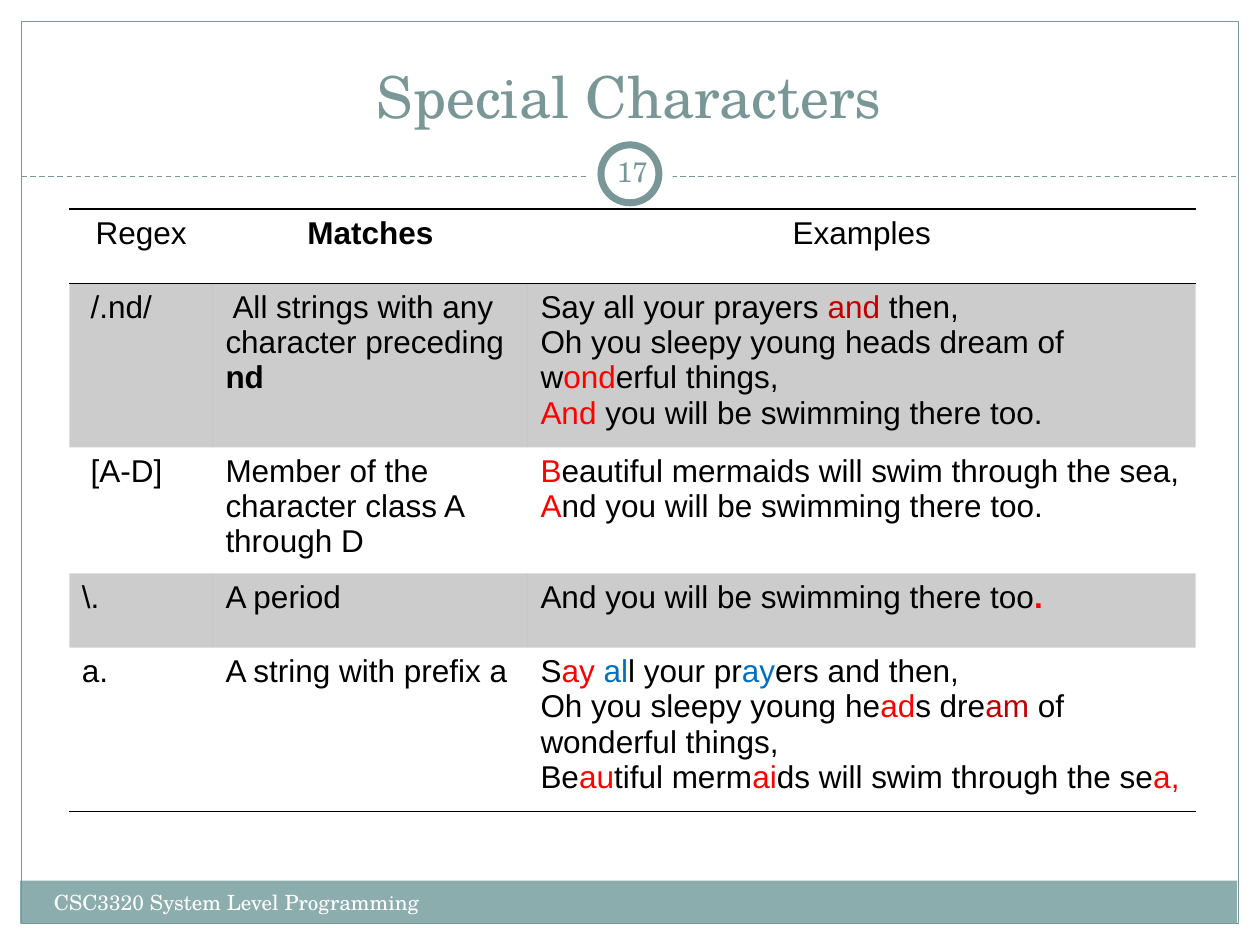
"""Build a slide with a table of special characters in regular expressions."""
from lxml import etree
from pptx import Presentation
from pptx.dml.color import RGBColor
from pptx.enum.dml import MSO_LINE
from pptx.enum.shapes import MSO_CONNECTOR, MSO_SHAPE
from pptx.enum.text import MSO_ANCHOR, PP_ALIGN
from pptx.oxml.ns import qn
from pptx.util import Inches, Pt

RECT, OVAL = MSO_SHAPE.RECTANGLE, MSO_SHAPE.OVAL
LINE, DASH = MSO_CONNECTOR.STRAIGHT, MSO_LINE.DASH
LEFT, CENTER = PP_ALIGN.LEFT, PP_ALIGN.CENTER
TOP, MIDDLE, BOTTOM = MSO_ANCHOR.TOP, MSO_ANCHOR.MIDDLE, MSO_ANCHOR.BOTTOM
PLAIN = "{2D5ABB26-0587-4C30-8999-92F81FD0307C}"

TITLE = "Special Characters"
FOOTER = "CSC3320 System Level Programming"
NUMBER = "17"
# Marked spans read |key:text|, with keys from THEME["marks"].
ROWS = [
    ("Regex", "|k:Matches|", "Examples"),
    (" /.nd/", " All strings with any character preceding |k:nd|",
     "Say all your prayers |d:and |then,\n"
     "Oh you sleepy young heads dream of w|r:ond|erful things,\n"
     "|r:And| you will be swimming there too."),
    (" [A-D]", "Member of the character class A through D",
     "|r:B|eautiful mermaids will swim through the sea,\n"
     "|r:A|nd you will be swimming there too."),
    ("\\.", "A period", "And you will be swimming there too|x:.|"),
    ("a.", "A string with prefix a",
     "S|r:ay ||b:al|l your pr|b:ay|ers and then,\n"
     "Oh you sleepy young he|r:ad|s dre|d:am| of wonderful things,\n"
     "Be|r:au|tiful merm|r:ai|ds will swim through the se|r:a,|"),
]
COLS = (1.14, 2.5, 5.3)
HIGH = 0.59

THEME = {
    "serif": "TeX Gyre Schola", "sans": "Arial",
    "teal": "7A9798", "bar": "8CADAE", "white": "FFFFFF", "black": "000000",
    "title": 33, "body": 18, "number": 16, "footer": 12,
    "marks": {"k": ("000000", True), "d": ("C00000", False), "r": ("FF0000", False),
              "x": ("FF0000", True), "b": ("0070C0", False)},
}


def rgb(name):
    return RGBColor.from_string(THEME.get(name, name))


def write(frame, text, size="body", font="serif", color="teal", align=LEFT):
    frame.word_wrap = True
    for i, line in enumerate(text.split("\n")):
        para = frame.paragraphs[0] if i == 0 else frame.add_paragraph()
        para.alignment = align
        for j, part in enumerate(line.split("|")):
            if not part:
                continue
            tone, bold = color, False
            if j % 2:
                key, part = part.split(":", 1)
                tone, bold = THEME["marks"][key]
            run = para.add_run()
            run.text = part
            run.font.name, run.font.size = THEME[font], Pt(THEME[size])
            run.font.bold, run.font.color.rgb = bold, rgb(tone)


def label(box, text, anchor=TOP, inset=0.1, **form):
    frame = slide.shapes.add_textbox(*map(Inches, box)).text_frame
    frame.vertical_anchor = anchor
    frame.margin_left = frame.margin_right = Inches(inset)
    write(frame, text, **form)


def draw(kind, box, fill=None, line=None, width=0.75):
    shape = slide.shapes.add_shape(kind, *map(Inches, box))
    shape.shadow.inherit = False
    if fill:
        shape.fill.solid()
        shape.fill.fore_color.rgb = rgb(fill)
    else:
        shape.fill.background()
    if line:
        shape.line.color.rgb, shape.line.width = rgb(line), Pt(width)
    else:
        shape.line.fill.background()


def border(cell, side):
    edge = etree.SubElement(cell._tc.get_or_add_tcPr(), qn("a:ln" + side), w=str(Pt(1)))
    solid = etree.SubElement(edge, qn("a:solidFill"))
    etree.SubElement(solid, qn("a:srgbClr"), val=THEME["black"])


def shade(cell):
    cell.fill.solid()
    cell.fill.fore_color.rgb = rgb("black")
    tint = cell._tc.tcPr.find(qn("a:solidFill")).find(qn("a:srgbClr"))
    etree.SubElement(tint, qn("a:alpha"), val="20000")


def grid(left, top):
    size = map(Inches, (left, top, sum(COLS), HIGH * len(ROWS)))
    table = slide.shapes.add_table(len(ROWS), len(COLS), *size).table
    table.first_row = table.horz_banding = False
    table._tbl.tblPr.find(qn("a:tableStyleId")).text = PLAIN
    for col, wide in zip(table.columns, COLS):
        col.width = Inches(wide)
    for r, row in enumerate(ROWS):
        table.rows[r].height = Inches(HIGH)
        for c, text in enumerate(row):
            cell = table.cell(r, c)
            write(cell.text_frame, text, font="sans", color="black",
                  align=LEFT if r else CENTER)
            if r == 0:
                border(cell, "T")
            if r in (0, len(ROWS) - 1):
                border(cell, "B")
            if r % 2:
                shade(cell)
            else:
                cell.fill.background()


deck = Presentation()
deck.slide_width, deck.slide_height = Inches(10), Inches(7.5)
slide = deck.slides.add_slide(deck.slide_layouts[6])

draw(RECT, (0.16, 6.99, 9.66, 0.34), fill="bar")
draw(RECT, (0.17, 0.17, 9.66, 7.16), line="teal")
rule = slide.shapes.add_connector(LINE, *map(Inches, (0.17, 1.4, 9.83, 1.4)))
rule.line.color.rgb, rule.line.width = rgb("teal"), Pt(0.75)
rule.line.dash_style = DASH
etree.SubElement(rule._element.spPr, qn("a:effectLst"))
draw(OVAL, (4.67, 1.05, 0.67, 0.67), fill="white")
draw(OVAL, (4.77, 1.15, 0.46, 0.46), fill="white", line="teal", width=4)

label((0.33, 0.25, 9.33, 0.83), TITLE, anchor=BOTTOM, size="title", align=CENTER)
label((0.33, 7.01, 3.92, 0.4), FOOTER, size="footer", color="white")
label((4.77, 1.12, 0.5, 0.48), NUMBER, anchor=MIDDLE, inset=0.05,
      size="number", align=CENTER)
grid(0.55, 1.66)

deck.save("out.pptx")
